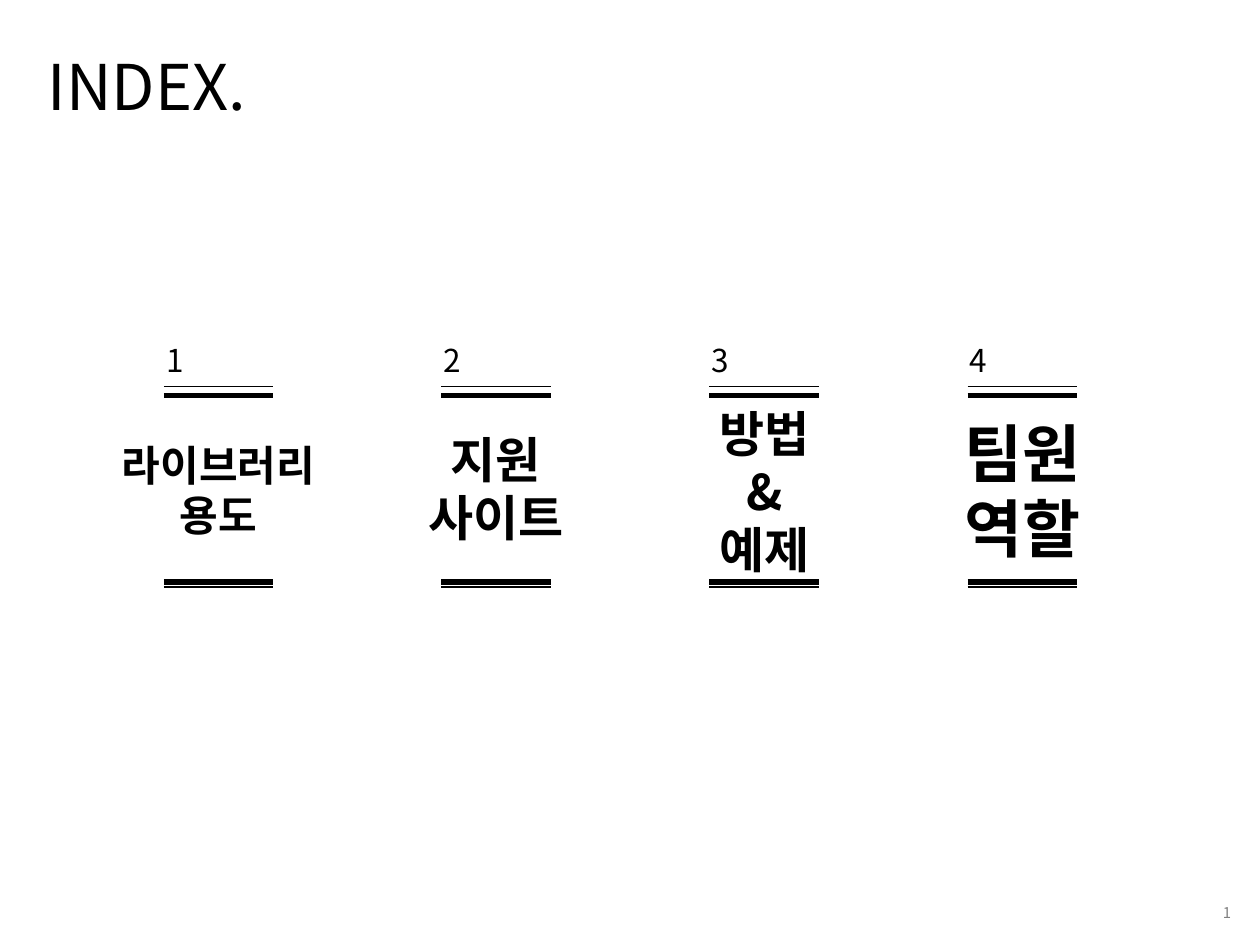
from lxml import etree
from pptx import Presentation
from pptx.dml.color import RGBColor
from pptx.enum.shapes import MSO_CONNECTOR
from pptx.enum.text import MSO_ANCHOR, MSO_AUTO_SIZE, PP_ALIGN
from pptx.oxml.ns import qn
from pptx.util import Inches, Pt

COLORS = {"background": "FFFFFF", "ink": "000000", "page": "808080"}
FONT = "Noto Sans CJK KR"
LINE_HEIGHT = 1.19
COLUMN_WIDTH = 0.87
RULES = [(3.07, 0.75), (3.14, 3), (4.62, 3), (4.66, 0.75)]
TOPICS = [
    (1.3, "라이브러리\n용도", 24, (3.41, 1.97, 0.91)),
    (3.5, "지원\n사이트", 28, (3.33, 1.65, 1.04)),
    (5.63, "방법\n&\n예제", 28, (3.12, 1.26, 1.51)),
    (7.68, "팀원\n역할", 36, (3.2, 1.26, 1.31)),
]


def write_text(slide, text, box, size, holder=None, color="ink", bold=False,
               align=PP_ALIGN.LEFT, anchor=MSO_ANCHOR.TOP):
    left, top, width, height = (Inches(value) for value in box)
    if holder is None:
        holder = slide.shapes.add_textbox(left, top, width, height)
    else:
        holder.left, holder.top, holder.width, holder.height = left, top, width, height
    frame = holder.text_frame
    frame.text = text
    frame.word_wrap = True
    frame.auto_size = MSO_AUTO_SIZE.NONE
    frame.vertical_anchor = anchor
    frame.margin_left = frame.margin_right = Inches(0.1)
    frame.margin_top = Inches(0.05) + Pt(size * 0.085)
    frame.margin_bottom = Inches(0.05)
    for paragraph in frame.paragraphs:
        paragraph.alignment = align
        paragraph.line_spacing = Pt(size * LINE_HEIGHT)
        for run in paragraph.runs:
            run.font.size = Pt(size)
            run.font.bold = bold
            run.font.name = FONT
            run.font.color.rgb = RGBColor.from_string(COLORS[color])
            etree.SubElement(run.font._element, qn("a:ea"), typeface=FONT)


def add_rule(slide, left, top, width, weight):
    rule = slide.shapes.add_connector(
        MSO_CONNECTOR.STRAIGHT,
        Inches(left), Inches(top), Inches(left + width), Inches(top))
    rule.line.color.rgb = RGBColor.from_string(COLORS["ink"])
    rule.line.width = Pt(weight)
    etree.SubElement(rule._element.spPr, qn("a:effectLst"))


def add_topic(slide, number, left, label, size, label_box):
    top, width, height = label_box
    for rule_top, weight in RULES:
        add_rule(slide, left, rule_top, COLUMN_WIDTH, weight)
    write_text(slide, str(number), (left - 0.08, 2.64, 1.26, 0.4), 18)
    label_left = left + (COLUMN_WIDTH - width) / 2
    write_text(slide, label, (label_left, top, width, height), size,
               bold=True, align=PP_ALIGN.CENTER)


def build_index(slide):
    background = slide.background.fill
    background.solid()
    background.fore_color.rgb = RGBColor.from_string(COLORS["background"])
    write_text(slide, "INDEX.", (0.28, 0.29, 3.39, 0.71), 36,
               holder=slide.shapes.title)
    for number, topic in enumerate(TOPICS, start=1):
        add_topic(slide, number, *topic)
    write_text(slide, "1", (7.76, 7.1, 2.11, 0.27), 8.5, color="page",
               align=PP_ALIGN.RIGHT, anchor=MSO_ANCHOR.MIDDLE)


def main():
    presentation = Presentation()
    presentation.slide_width = Inches(10)
    presentation.slide_height = Inches(7.5)
    build_index(presentation.slides.add_slide(presentation.slide_layouts[5]))
    presentation.save("out.pptx")


if __name__ == "__main__":
    main()
